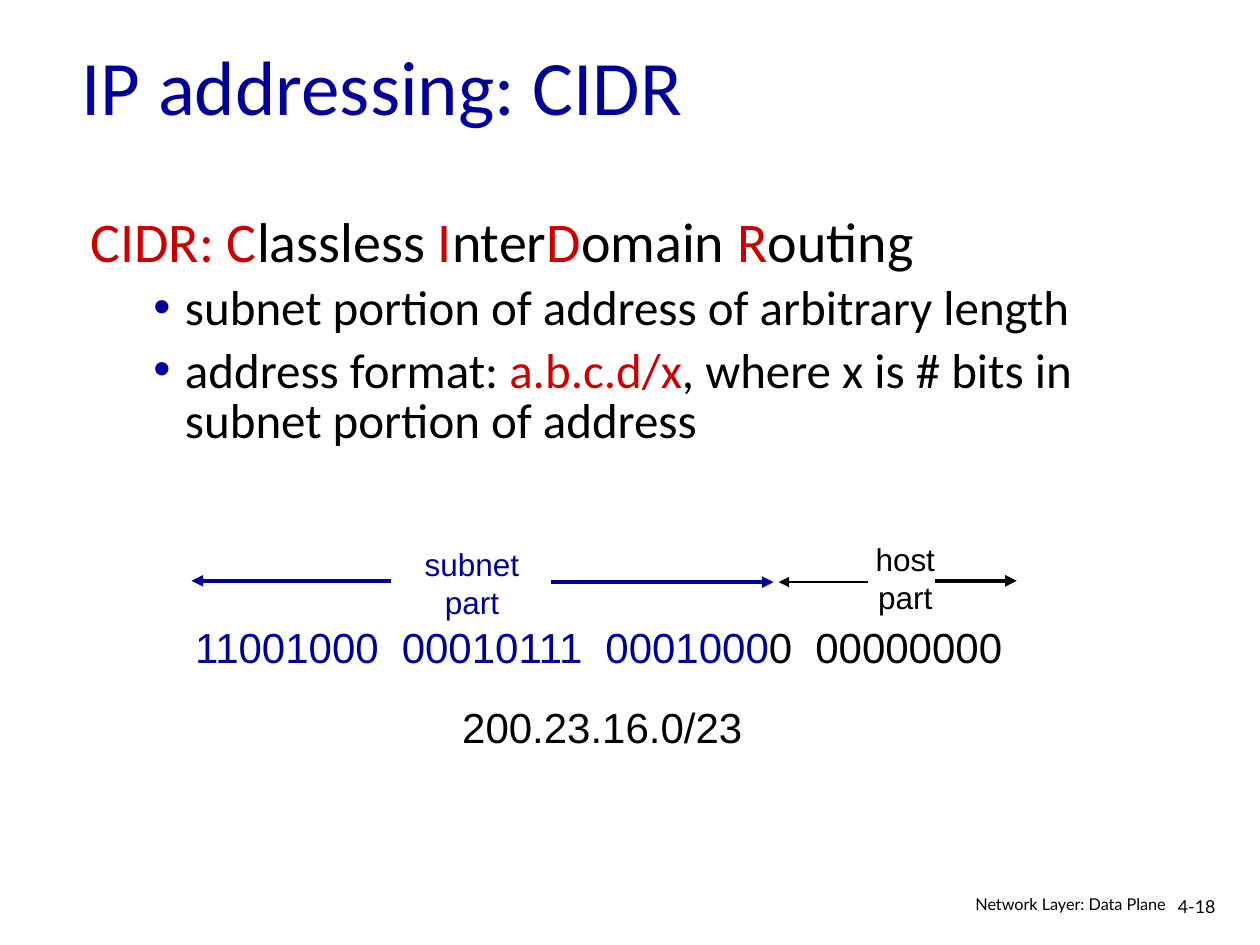
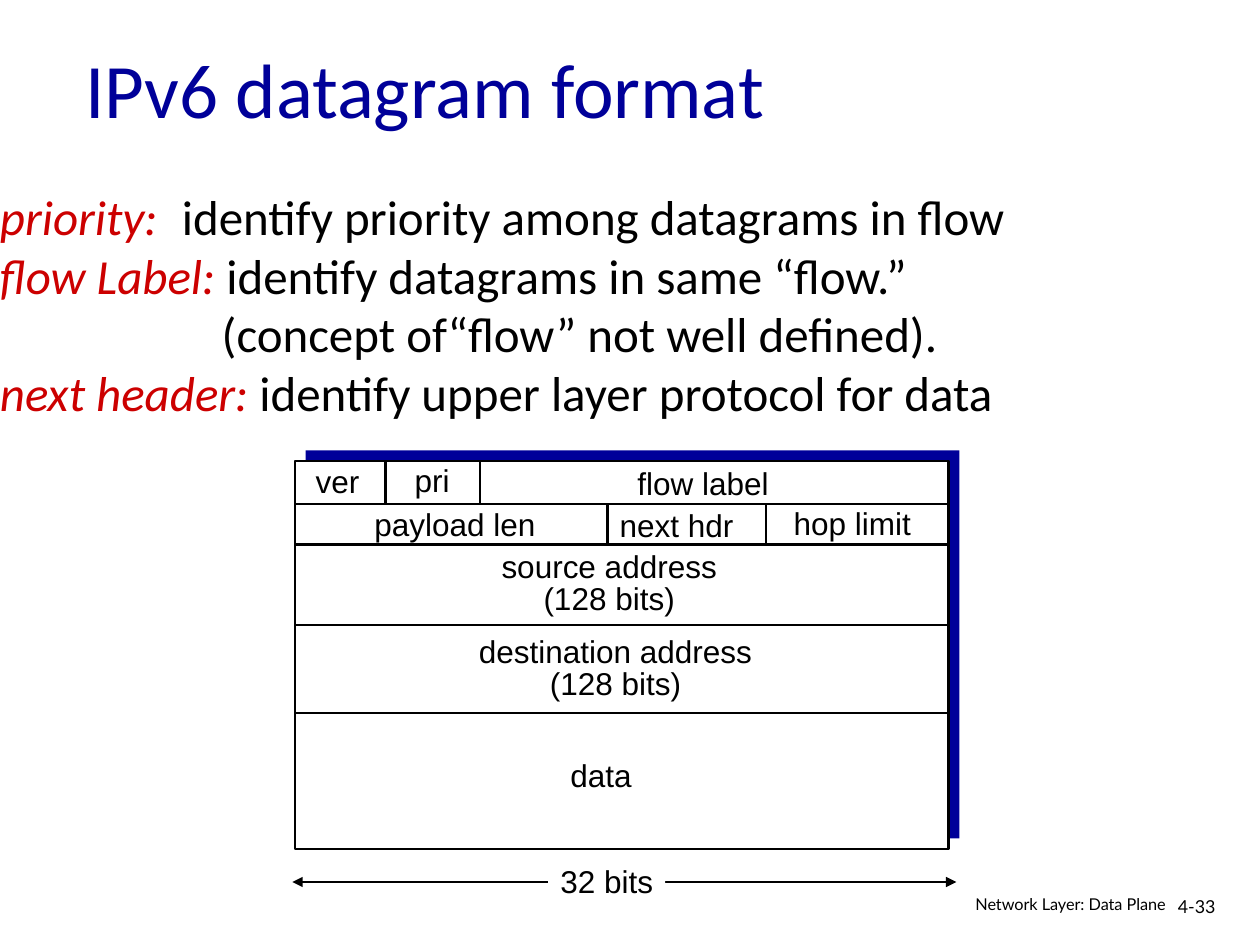
from dataclasses import dataclass

from lxml.etree import SubElement
from pptx import Presentation
from pptx.dml.color import RGBColor
from pptx.enum.shapes import MSO_CONNECTOR, MSO_SHAPE
from pptx.enum.text import MSO_ANCHOR, PP_ALIGN
from pptx.oxml.ns import qn
from pptx.util import Inches, Pt


@dataclass(frozen=True)
class Theme:
    blue: str = "000099"
    red: str = "CC0000"
    black: str = "000000"
    white: str = "FFFFFF"
    text_font: str = "Calibri"
    figure_font: str = "Arial"
    footer_font: str = "Lato"
    title: float = 44
    lead: float = 32
    body: float = 28
    bits: float = 24
    label: float = 18
    number: float = 10.2
    footer: float = 9.3
    thick: float = 2.25
    medium: float = 1.5
    thin: float = 0.75
    wide_space: float = 0.27


T = Theme()


class Deck:
    COLS, ROWS = 100, 75

    def __init__(self):
        self.prs = Presentation()
        self.prs.slide_width, self.prs.slide_height = Inches(10), Inches(7.5)
        self.s = None

    def x(self, cols):
        return round(self.prs.slide_width * cols / self.COLS)

    def y(self, rows):
        return round(self.prs.slide_height * rows / self.ROWS)

    def box(self, left, top, width, height):
        return self.x(left), self.y(top), self.x(width), self.y(height)

    def slide(self, title, number, left, top, height):
        self.s = self.prs.slides.add_slide(self.prs.slide_layouts[6])
        tf = self.text((left, top, 85, height))
        tf.vertical_anchor = MSO_ANCHOR.MIDDLE
        self.para(tf, [(title, T.blue)], T.title)
        tf = self.text((92.5, 70.8, 6.1, 3))
        self.para(tf, [(number, T.black)], T.number, T.footer_font, spacing=0.9)
        tf = self.text((69.7, 70.8, 23.8, 2.6))
        self.para(tf, [("Network Layer: Data Plane", T.black)], T.footer,
                  T.footer_font, align=PP_ALIGN.RIGHT, spacing=0.8)

    def text(self, place, wrap=True):
        tf = self.s.shapes.add_textbox(*self.box(*place)).text_frame
        tf.word_wrap = wrap
        return tf

    def para(self, tf, runs, size, font=T.text_font, align=PP_ALIGN.LEFT,
             spacing=None, before=None, margin=0, indent=0, bullet=False):
        first = tf.paragraphs[0]
        p = tf.add_paragraph() if first.runs else first
        p.alignment, p.line_spacing = align, spacing
        if before:
            p.space_before = Pt(before)
        pPr = p._p.get_or_add_pPr()
        pPr.set("marL", str(self.x(margin)))
        pPr.set("indent", str(self.x(indent)))
        if bullet:
            color = SubElement(pPr, qn("a:buClr"))
            SubElement(color, qn("a:srgbClr"), val=T.blue)
            SubElement(pPr, qn("a:buFont"), typeface=T.figure_font)
            SubElement(pPr, qn("a:buChar"), char="•")
        for words, color, *italic in runs:
            r = p.add_run()
            r.text = words
            r.font.name, r.font.size = font, Pt(size)
            r.font.italic = bool(italic)
            r.font.color.rgb = RGBColor.from_string(color)
            if words == " ":
                r._r.get_or_add_rPr().set("spc", str(round(100 * size * T.wide_space)))

    def label(self, lines, place, color=T.black, size=T.label, spacing=None):
        tf = self.text(place, wrap=False)
        tf.margin_left = tf.margin_right = 0
        for line in lines:
            self.para(tf, [(line, color)], size, T.figure_font,
                      PP_ALIGN.CENTER, spacing)

    def rect(self, place, fill, line=None):
        sp = self.s.shapes.add_shape(MSO_SHAPE.RECTANGLE, *self.box(*place))
        sp.shadow.inherit = False
        sp.fill.solid()
        sp.fill.fore_color.rgb = RGBColor.from_string(fill)
        if line:
            sp.line.color.rgb = RGBColor.from_string(line)
            sp.line.width = Pt(T.medium)
        else:
            sp.line.fill.background()

    def line(self, x1, y1, x2, y2, color=T.black, width=T.medium, ends=()):
        c = self.s.shapes.add_connector(MSO_CONNECTOR.STRAIGHT, self.x(x1),
                                        self.y(y1), self.x(x2), self.y(y2))
        c.line.color.rgb = RGBColor.from_string(color)
        c.line.width = Pt(width)
        ln = c.line._get_or_add_ln()
        for end in ends:
            SubElement(ln, qn("a:" + end), type="triangle")
        SubElement(c._element.spPr, qn("a:effectLst"))


def cidr_slide(d):
    d.slide("IP addressing: CIDR", "4-18", 5.5, 2.1, 9.3)
    tf = d.text((6.2, 16.7, 88.7, 34.7))
    d.para(tf, [("CIDR: C", T.red), ("lassless ", T.black), ("I", T.red),
                ("nter", T.black), ("D", T.red), ("omain ", T.black),
                ("R", T.red), ("outing", T.black)],
           T.lead, spacing=0.85, margin=3.8, indent=-3.8)
    for runs in (
        [("subnet portion of address of arbitrary length", T.black)],
        [("address format: ", T.black), ("a.b.c.d/x", T.red),
         (", where x is # bits in subnet portion of address", T.black)],
    ):
        d.para(tf, runs, T.body, spacing=0.85, before=7, margin=7.5,
               indent=-2.5, bullet=True)

    tf = d.text((14.5, 48.8, 70, 5))
    d.para(tf, [("11001000", T.blue), (" ", T.blue), ("00010111", T.blue),
                (" ", T.blue), ("0001000", T.blue), ("0", T.black),
                (" ", T.black), ("00000000", T.black)], T.bits, T.figure_font)
    d.label(["subnet", "part"], (32.7, 42.8, 9.5, 7), T.blue)
    d.label(["host", "part"], (68.5, 42.4, 6.7, 7))
    d.label(["200.23.16.0/23"], (35.7, 55.2, 24.2, 5), size=T.bits)
    for start, end, row, color, width in (
        (31, 15.2, 46.1, T.blue, T.thick),
        (43.7, 61.4, 46.2, T.blue, T.thick),
        (68.9, 61.8, 46.2, T.black, T.medium),
        (74.2, 80.7, 46.1, T.black, T.thick),
    ):
        d.line(start, row, end, row, color, width, ["tailEnd"])


def datagram_slide(d):
    d.slide("IPv6 datagram format", "4-33", 5.8, 2, 9.9)
    tf = d.text((0, 14.3, 92.6, 19.7))
    tf.margin_left = 0
    for margin, *runs in (
        (0, ("priority:", T.red, True), (" ", T.black),
         ("identify priority among datagrams in flow", T.black)),
        (0, ("flow Label:", T.red, True),
         (" identify datagrams in same “flow.”", T.black)),
        (17.6, ("(concept of“flow” not well defined).", T.black)),
        (0, ("next header:", T.red, True),
         (" identify upper layer protocol for data", T.black)),
    ):
        d.para(tf, runs, T.body, margin=margin)

    left, top, width, height, offset = 23.4, 36.6, 51.9, 30.8, 0.85
    d.rect((left + offset, top - offset, width, height), T.blue)
    d.rect((left, top, width, height), T.white, T.black)
    first, second, source, destination = 40, 43.2, 49.6, 56.6
    for row in (first, second, source, destination):
        d.line(left, row, left + width, row)
    for start, end, cols in ((top, first, (30.6, 38.1)),
                             (first, second, (48.2, 60.8))):
        for col in cols:
            d.line(col, start, col, end)

    for words, col, row, wide in (
        ("ver", 24.1, 36.2, 5.4), ("pri", 31.9, 36.1, 4.8),
        ("flow label", 49.6, 36.3, 12.4), ("payload len", 28.7, 39.6, 14.8),
        ("next hdr", 48.2, 39.7, 11), ("hop limit", 62, 39.5, 11.3),
        ("data", 44.3, 59.5, 6.8),
    ):
        d.label([words], (col, row, wide, 4))
    for words, col, row, wide in (("source address", 38.8, 43.4, 19.1),
                                  ("destination address", 37, 50.1, 23.7)):
        d.label([words, "(128 bits)"], (col, row, wide, 6.1), spacing=0.85)

    d.line(23.2, 70, 75.9, 70, width=T.thin, ends=["headEnd", "tailEnd"])
    scale = (43.5, 67.9, 9.3, 4)
    d.rect(scale, T.white)
    d.label(["32 bits"], scale)


def main():
    d = Deck()
    cidr_slide(d)
    datagram_slide(d)
    d.prs.save("out.pptx")


if __name__ == "__main__":
    main()
